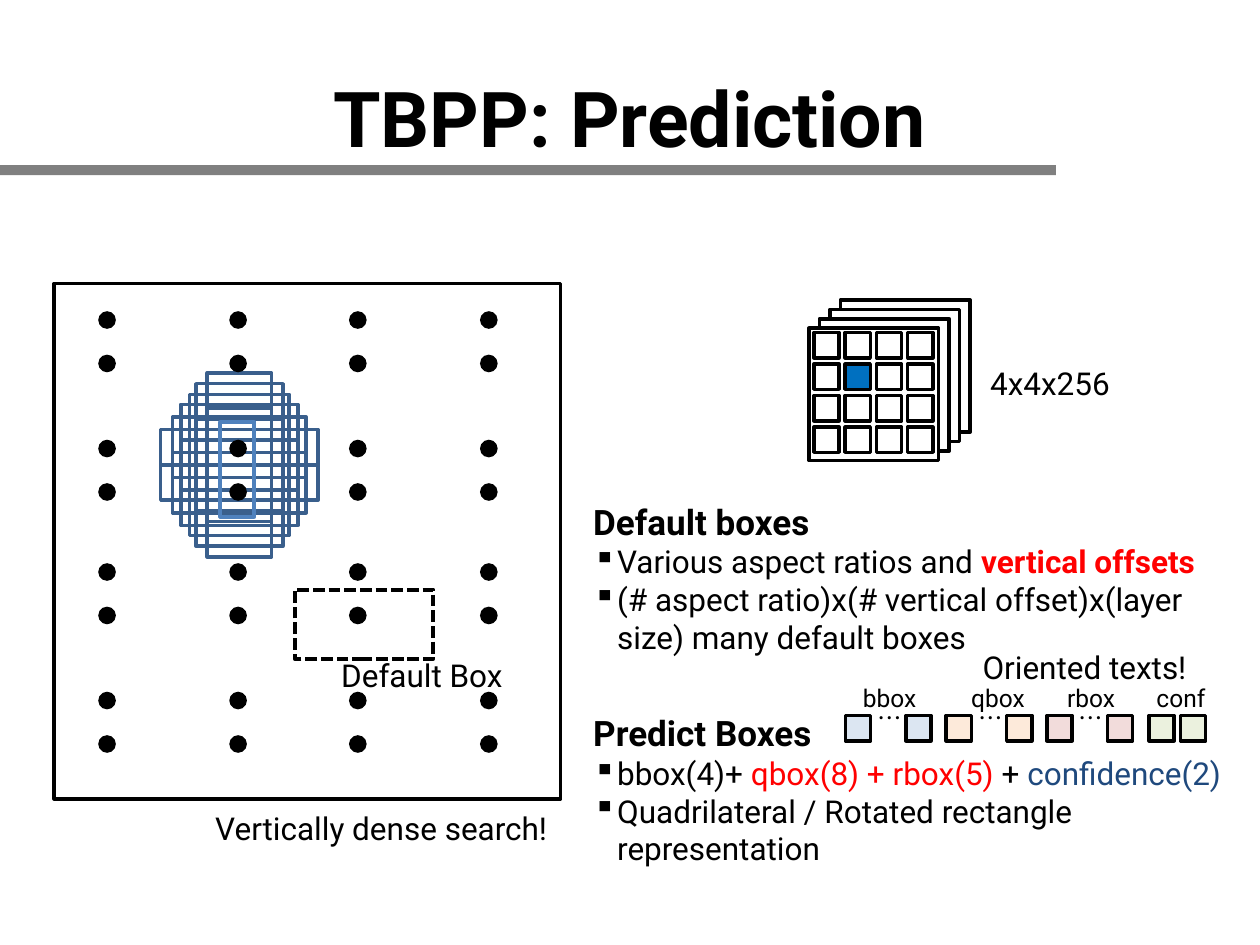
import itertools

import pptx
import pptx.dml.color
import pptx.enum.dml
import pptx.enum.shapes
import pptx.enum.text
import pptx.oxml
import pptx.util
from pptx.util import Inches

COLORS = {
    "black": "000000", "white": "FFFFFF", "gray": "808080", "red": "FF0000",
    "navy": "1F497D", "steel": "3A5F8C", "sky": "4F81BD", "cell": "0070C0",
    "bbox": "DCE6F2", "qbox": "FDEADA", "rbox": "F2DCDB", "conf": "EBF1DE",
}
RECT = pptx.enum.shapes.MSO_SHAPE.RECTANGLE
OVAL = pptx.enum.shapes.MSO_SHAPE.OVAL
CELL = 0.2


def rgb(name):
    return pptx.dml.color.RGBColor.from_string(COLORS[name])


def add_box(slide, left, top, width, height, fill=None, line="black",
            weight=2, dashed=False, kind=RECT):
    box = slide.shapes.add_shape(
        kind, Inches(left), Inches(top), Inches(width), Inches(height))
    box.shadow.inherit = False
    if fill:
        box.fill.solid()
        box.fill.fore_color.rgb = rgb(fill)
    else:
        box.fill.background()
    if line:
        box.line.color.rgb = rgb(line)
        box.line.width = pptx.util.Pt(weight)
        if dashed:
            box.line.dash_style = pptx.enum.dml.MSO_LINE.SQUARE_DOT
    else:
        box.line.fill.background()


def add_run(paragraph, text, size=18, color="black", bold=False, font="Roboto"):
    run = paragraph.add_run()
    run.text = text
    run.font.name = font
    run.font.size = pptx.util.Pt(size)
    run.font.bold = bold
    run.font.color.rgb = rgb(color)


def add_frame(slide, left, top, width, height, wrap=False):
    frame = slide.shapes.add_textbox(
        Inches(left), Inches(top), Inches(width), Inches(height)).text_frame
    frame.word_wrap = wrap
    return frame


def add_text(slide, text, left, top, width, height, centered=False,
             wrap=False, **style):
    frame = add_frame(slide, left, top, width, height, wrap)
    if centered:
        frame.vertical_anchor = pptx.enum.text.MSO_ANCHOR.MIDDLE
        frame.paragraphs[0].alignment = pptx.enum.text.PP_ALIGN.CENTER
        frame.margin_left = frame.margin_right = 0
        frame.margin_top = frame.margin_bottom = 0
    add_run(frame.paragraphs[0], text, **style)


def add_bullets(slide, top, heading, bullets):
    frame = add_frame(slide, 4.61, top, 5.36, 1.35, wrap=True)
    add_run(frame.paragraphs[0], heading, size=20, bold=True)
    for runs in bullets:
        paragraph = frame.add_paragraph()
        properties = paragraph._p.get_or_add_pPr()
        properties.set("marL", str(Inches(0.19)))
        properties.set("indent", str(-Inches(0.19)))
        bullet = pptx.oxml.parse_xml(
            '<a:buChar xmlns:a="http://schemas.openxmlformats.org/'
            'drawingml/2006/main" char="▪"/>')
        properties.append(bullet)
        for text, style in runs:
            add_run(paragraph, text, **style)


def draw_feature_map(slide):
    for layer in range(4):
        add_box(slide, 6.67 - layer * 0.083, 2.38 + layer * 0.075, 1.03, 1.05,
                fill="white")
    for row, column in itertools.product(range(4), repeat=2):
        fill = "cell" if (row, column) == (1, 1) else "white"
        add_box(slide, 6.46 + column * 0.248, 2.64 + row * 0.25, CELL, CELL,
                fill=fill)
    add_text(slide, "4x4x256", 7.76, 2.84, 1.16, 0.4)


def draw_output_vector(slide):
    labels = {"bbox": 6.75, "qbox": 7.61, "rbox": 8.37, "conf": 9.08}
    for name, left in labels.items():
        add_text(slide, name, left, 5.37, 0.81, 0.34, size=14)
    for index, name in enumerate(["bbox", "qbox", "rbox"]):
        left = 6.71 + index * 0.8
        for offset in (0, 0.48):
            add_box(slide, left + offset, 5.68, CELL, CELL, fill=name)
        add_text(slide, "…", left + 0.25, 5.6, CELL, CELL, centered=True,
                 size=14, font="Noto Sans CJK KR")
    for left in (9.12, 9.37):
        add_box(slide, left, 5.68, CELL, CELL, fill="conf")


def draw_aspect_ratios(slide):
    sizes = [(1.25, 0.28), (1.06, 0.48), (0.93, 0.68),
             (0.79, 0.84), (0.69, 1.01), (0.51, 1.18)]
    for center, (width, height) in itertools.product((3.55, 3.83), sizes):
        add_box(slide, 1.9 - width / 2, center - height / 2, width, height,
                line="steel")


def draw_anchor_points(slide):
    columns = (0.78, 1.82, 2.77, 3.81)
    rows = (2.47, 3.49, 4.47, 5.49)
    for top, offset, left in itertools.product(rows, (0, 0.345), columns):
        add_box(slide, left, top + offset, 0.14, 0.14, fill="black",
                line=None, kind=OVAL)


def main():
    deck = pptx.Presentation()
    deck.slide_width, deck.slide_height = Inches(10), Inches(7.5)
    slide = deck.slides.add_slide(deck.slide_layouts[6])

    add_text(slide, "TBPP: Prediction", 0.5, 0.3, 9, 1.25, centered=True,
             wrap=True, size=44, bold=True)
    add_box(slide, 0.43, 2.25, 4.02, 4.09, fill="white")
    draw_feature_map(slide)
    draw_output_vector(slide)
    draw_aspect_ratios(slide)
    add_bullets(slide, 3.92, "Default boxes", [
        [("Various aspect ratios and ", {}),
         ("vertical offsets", {"color": "red", "bold": True})],
        [("(# aspect ratio)x(# vertical offset)x(layer size) "
          "many default boxes", {})],
    ])
    draw_anchor_points(slide)
    add_box(slide, 1.75, 3.35, 0.27, 0.75, line="sky", weight=2.25)
    add_bullets(slide, 5.6, "Predict Boxes", [
        [("bbox(4)+ ", {}), ("qbox(8) + rbox(5) ", {"color": "red"}),
         ("+ ", {}), ("confidence(2)", {"color": "navy"})],
        [("Quadrilateral / Rotated rectangle representation", {})],
    ])
    add_text(slide, "Vertically dense search!", 1.61, 6.37, 2.88, 0.4)
    add_box(slide, 2.34, 4.68, 1.1, 0.55, weight=2.25, dashed=True)
    add_text(slide, "Default Box", 2.61, 5.16, 1.53, 0.4)
    add_text(slide, "Oriented texts!", 7.7, 5.09, 1.84, 0.4)
    add_box(slide, -0.12, 1.31, 8.5, 0.08, fill="gray", line=None)
    deck.save("out.pptx")


if __name__ == "__main__":
    main()
